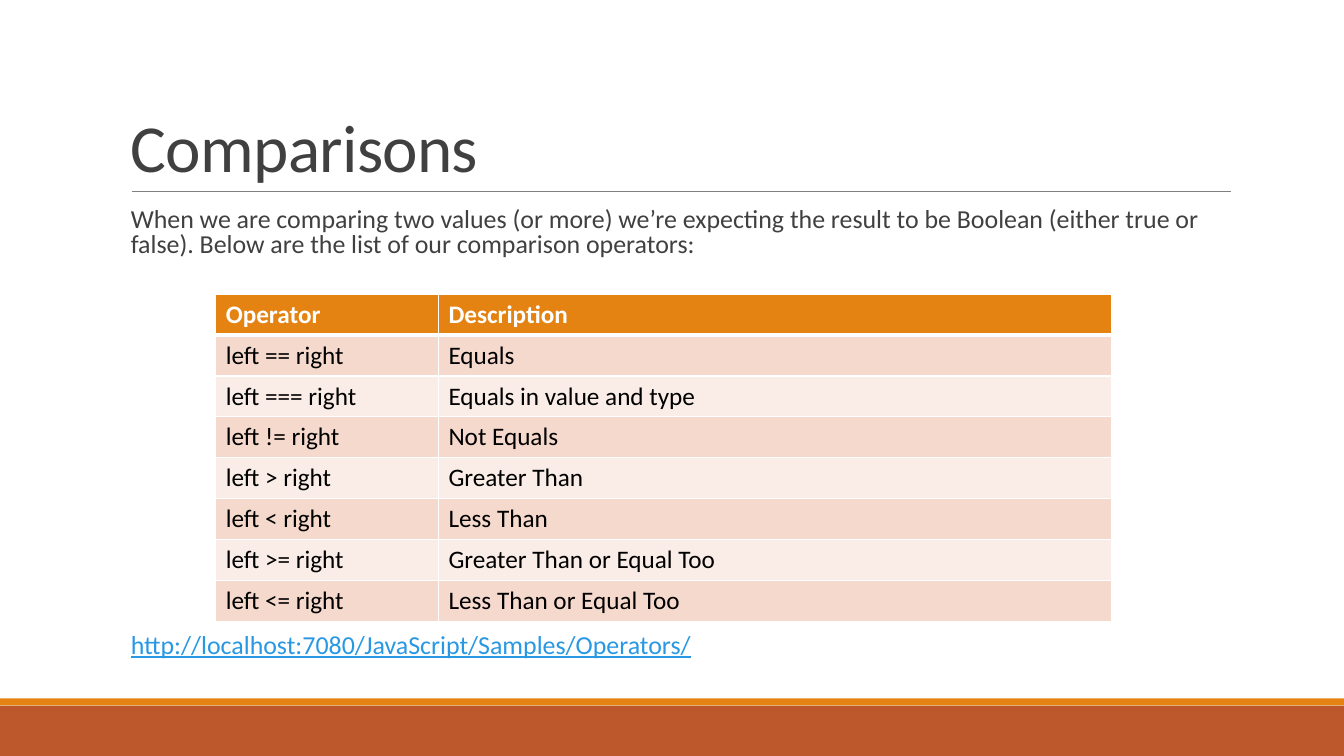
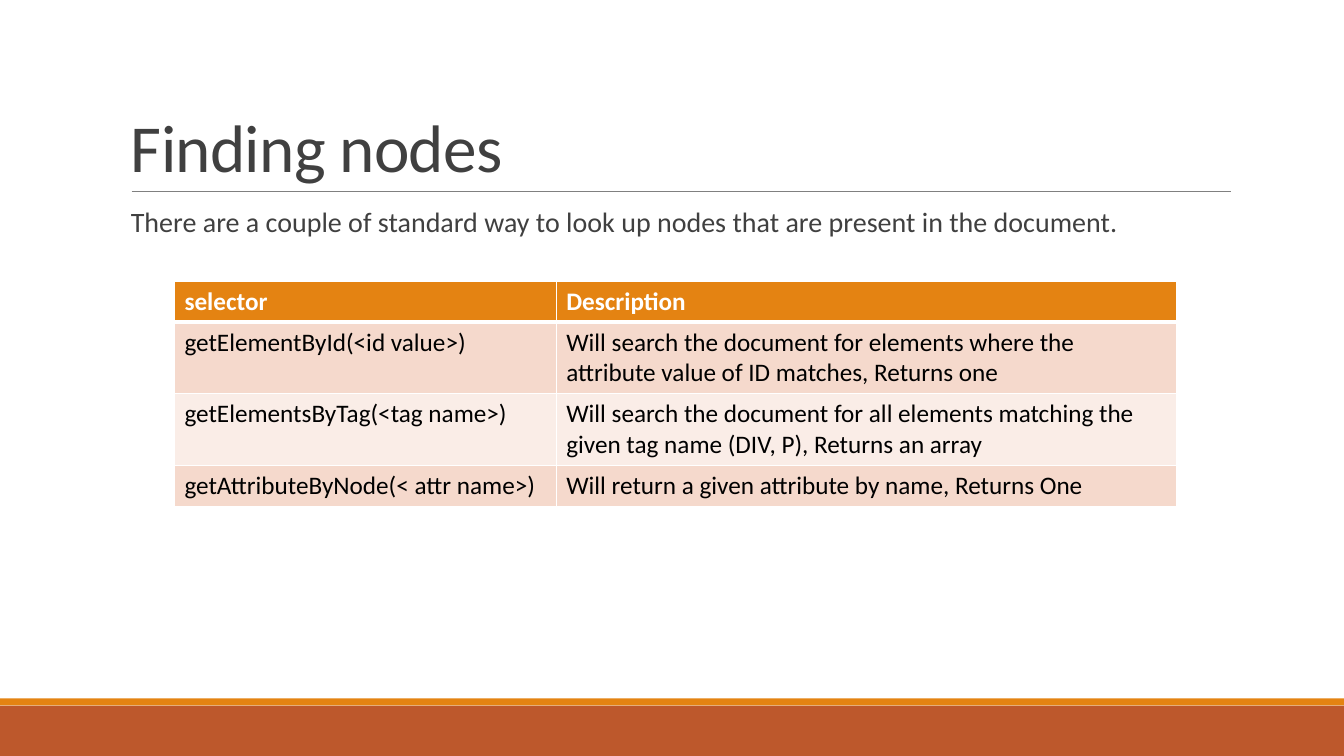
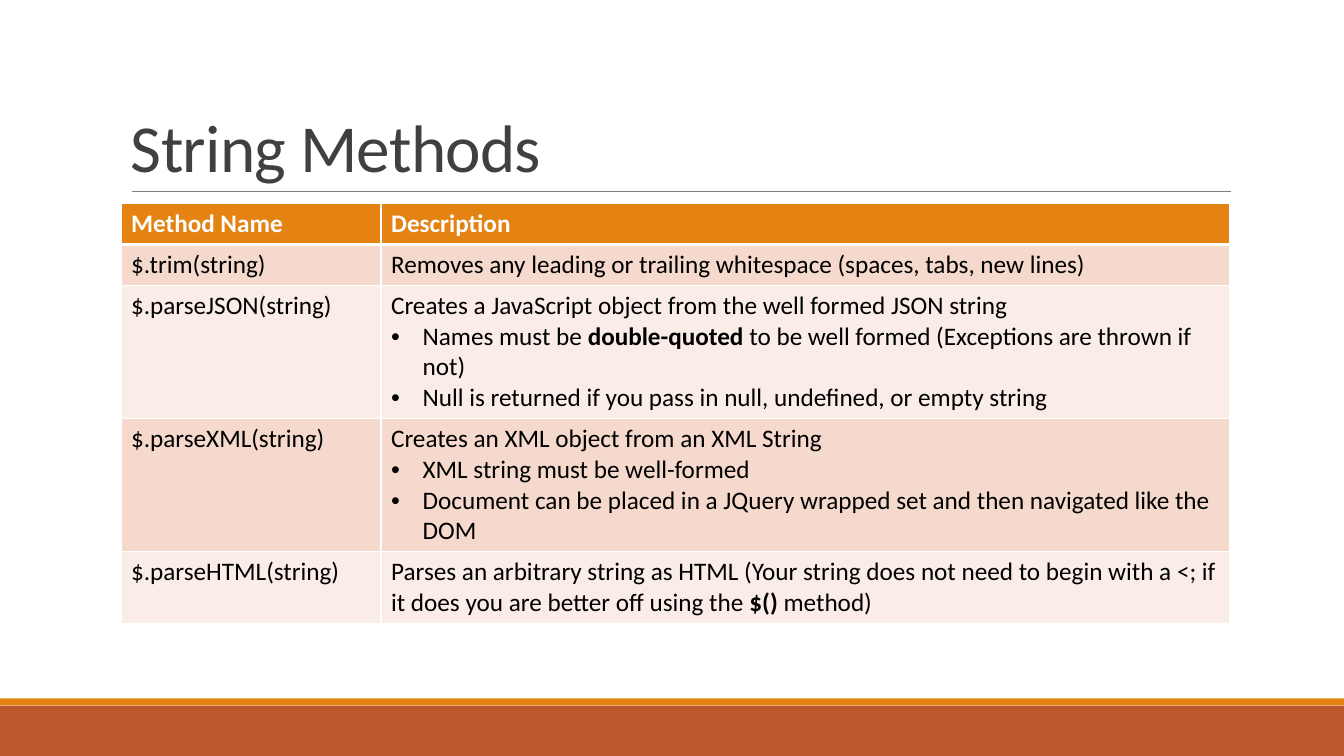
from dataclasses import dataclass

from lxml import etree
from pptx import Presentation
from pptx.dml.color import RGBColor
from pptx.enum.shapes import MSO_CONNECTOR, MSO_SHAPE
from pptx.enum.text import MSO_ANCHOR
from pptx.oxml.ns import qn
from pptx.util import Pt

RECTANGLE = MSO_SHAPE.RECTANGLE
STRAIGHT = MSO_CONNECTOR.STRAIGHT
TOP, BOTTOM = MSO_ANCHOR.TOP, MSO_ANCHOR.BOTTOM


@dataclass(frozen=True)
class Theme:
    font: str = "Calibri"
    ink: str = "404040"
    cell_ink: str = "000000"
    white: str = "FFFFFF"
    link: str = "2998E3"
    rule: str = "808080"
    orange: str = "E48312"
    rust: str = "BD582C"
    bands: tuple = ("F5D9CC", "FAEDE7")
    title_size: float = 48
    cell_size: float = 18


THEME = Theme()
WIDTH, HEIGHT = 960, 540
LEFT, CONTENT_WIDTH = 86.4, 792
CELL_LINE, CELL_PADDING = 22, 7.2
BULLET = "• "
BULLET_INDENT = 22.5

SLIDES = [
    {
        "title": "Comparisons",
        "notes": [
            {
                "text": "When we are comparing two values (or more) we’re expecting the result to be "
                        "Boolean (either true or false). Below are the list of our comparison operators:",
                "top": 145.4, "height": 48, "size": 18.5, "spacing": 0.8,
            },
            {
                "text": "http://localhost:7080/JavaScript/Samples/Operators/",
                "top": 449.5, "height": 27, "size": 18.5, "spacing": 0.8,
                "color": THEME.link, "underline": True,
            },
        ],
        "table": {
            "left": 154.1, "top": 210.2, "columns": (159.1, 481),
            "rows": [
                (1, "Operator", "Description"),
                (1, "left == right", "Equals"),
                (1, "left === right", "Equals in value and type"),
                (1, "left != right", "Not Equals"),
                (1, "left > right", "Greater Than"),
                (1, "left < right", "Less Than"),
                (1, "left >= right", "Greater Than or Equal Too"),
                (1, "left <= right", "Less Than or Equal Too"),
            ],
        },
    },
    {
        "title": "Finding nodes",
        "notes": [
            {
                "text": "There are a couple of standard way to look up nodes that are present "
                        "in the document.",
                "top": 145.4, "height": 32, "size": 20, "spacing": 0.9,
            },
        ],
        "table": {
            "left": 124.6, "top": 200.9, "columns": (272.7, 443.3),
            "rows": [
                (1, "selector", "Description"),
                (2, "getElementById(<id value>)",
                 "Will search the document for elements where the attribute value of ID matches, "
                 "Returns one"),
                (2, "getElementsByTag(<tag name>)",
                 "Will search the document for all elements matching the given tag name (DIV, P), "
                 "Returns an array"),
                (1, "getAttributeByNode(< attr name>)",
                 "Will return a given attribute by name, Returns One"),
            ],
        },
    },
    {
        "title": "String Methods",
        "notes": [],
        "table": {
            "left": LEFT, "top": 145.4, "columns": (185.8, 606.2),
            "rows": [
                (1, "Method Name", "Description"),
                (1, "$.trim(string)",
                 "Removes any leading or trailing whitespace (spaces, tabs, new lines)"),
                (4, "$.parseJSON(string)",
                 "Creates a JavaScript object from the well formed JSON string\n"
                 "• Names must be **double-quoted** to be well formed (Exceptions are thrown if not)\n"
                 "• Null is returned if you pass in null, undefined, or empty string"),
                (4, "$.parseXML(string)",
                 "Creates an XML object from an XML String\n"
                 "• XML string must be well-formed\n"
                 "• Document can be placed in a JQuery wrapped set and then navigated like the DOM"),
                (2, "$.parseHTML(string)",
                 "Parses an arbitrary string as HTML (Your string does not need to begin with a <; "
                 "if it does you are better off using the **$()** method)"),
            ],
        },
    },
]


def rgb(color):
    return RGBColor.from_string(color)


def add_bullet(para):
    properties = para._p.get_or_add_pPr()
    properties.set("marL", str(Pt(BULLET_INDENT)))
    properties.set("indent", str(-Pt(BULLET_INDENT)))
    etree.SubElement(properties, qn("a:buFont")).set("typeface", "Arial")
    etree.SubElement(properties, qn("a:buChar")).set("char", BULLET.strip())


def write(frame, text, size, color=THEME.ink, bold=False, underline=False, spacing=None, tracking=None):
    for index, line in enumerate(text.split("\n")):
        para = frame.add_paragraph() if index else frame.paragraphs[0]
        if spacing:
            para.line_spacing = spacing
        if line.startswith(BULLET):
            add_bullet(para)
        for part, words in enumerate(line.removeprefix(BULLET).split("**")):
            span = para.add_run()
            span.text = words
            span.font.name = THEME.font
            span.font.size = Pt(size)
            span.font.color.rgb = rgb(color)
            span.font.bold = bold or part % 2 == 1
            if underline:
                span.font.underline = True
            if tracking:
                span._r.get_or_add_rPr().set("spc", str(round(tracking * 100)))


def add_text(slide, text, top, height, anchor=TOP, **style):
    box = slide.shapes.add_textbox(Pt(LEFT), Pt(top), Pt(CONTENT_WIDTH), Pt(height))
    frame = box.text_frame
    frame.word_wrap = True
    frame.vertical_anchor = anchor
    frame.margin_right = 0
    write(frame, text, **style)


def add_band(slide, top, height, color):
    band = slide.shapes.add_shape(RECTANGLE, 0, Pt(top), Pt(WIDTH), Pt(height))
    band.shadow.inherit = False
    band.fill.solid()
    band.fill.fore_color.rgb = rgb(color)
    band.line.fill.background()


def add_shared_parts(slide, title):
    add_band(slide, 504, 36, THEME.rust)
    add_band(slide, 498.76, 5.2, THEME.orange)
    rule = slide.shapes.add_connector(STRAIGHT, Pt(94.1), Pt(136.8), Pt(879), Pt(136.8))
    rule.line.color.rgb = rgb(THEME.rule)
    rule.line.width = Pt(0.5)
    etree.SubElement(rule._element.spPr, qn("a:effectLst"))
    add_text(slide, title, 22.3, 114.5, anchor=BOTTOM, size=THEME.title_size,
             spacing=0.85, tracking=-0.5)


def set_borders(cell, widths):
    properties = cell._tc.get_or_add_tcPr()
    for index, (side, width) in enumerate(widths.items()):
        border = etree.Element(qn(f"a:ln{side}"), w=str(Pt(width)))
        fill = etree.SubElement(border, qn("a:solidFill"))
        etree.SubElement(fill, qn("a:srgbClr")).set("val", THEME.white)
        properties.insert(index, border)


def add_grid(slide, left, top, columns, rows):
    heights = [CELL_PADDING + CELL_LINE * lines for lines, *_ in rows]
    shape = slide.shapes.add_table(len(rows), len(columns), Pt(left), Pt(top),
                                   Pt(sum(columns)), Pt(sum(heights)))
    table = shape.table
    table.horz_banding = False
    for column, width in zip(table.columns, columns):
        column.width = Pt(width)
    for index, (height, (_, *texts)) in enumerate(zip(heights, rows)):
        table.rows[index].height = Pt(height)
        header = index == 0
        for column, text in enumerate(texts):
            cell = table.cell(index, column)
            cell.fill.solid()
            cell.fill.fore_color.rgb = rgb(THEME.orange if header else THEME.bands[(index - 1) % 2])
            set_borders(cell, {"L": 1, "R": 1, "T": 3 if index == 1 else 1, "B": 3 if header else 1})
            write(cell.text_frame, text, THEME.cell_size, bold=header,
                  color=THEME.white if header else THEME.cell_ink)


def main():
    deck = Presentation()
    deck.slide_width, deck.slide_height = Pt(WIDTH), Pt(HEIGHT)
    for content in SLIDES:
        slide = deck.slides.add_slide(deck.slide_layouts[6])
        add_shared_parts(slide, content["title"])
        for note in content["notes"]:
            add_text(slide, **note)
        add_grid(slide, **content["table"])
    deck.save("out.pptx")


if __name__ == "__main__":
    main()
